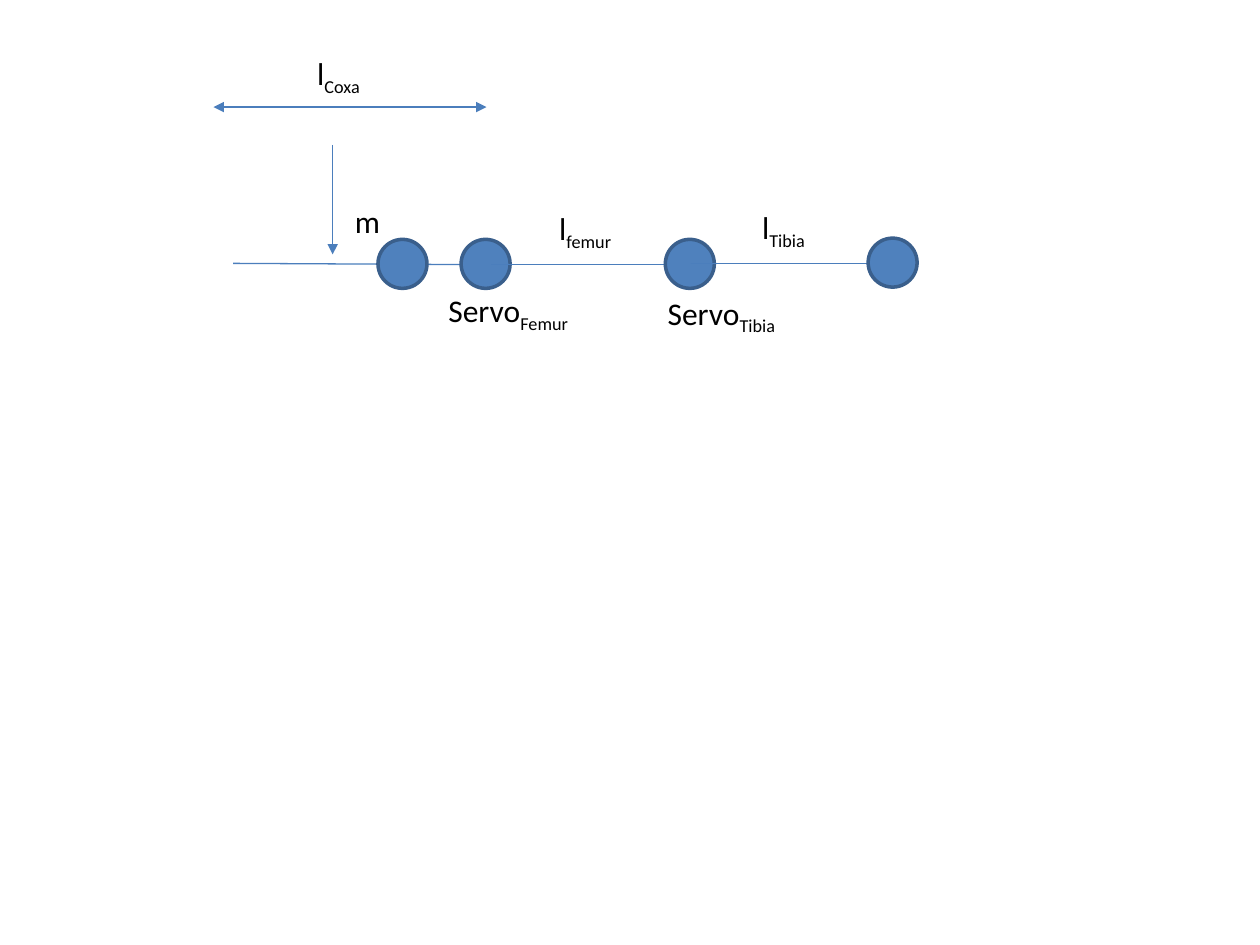
import pptx
import pptx.util
import pptx.dml.color
import pptx.enum.shapes
import pptx.enum.text
from lxml import etree

Pt = pptx.util.Pt
LINE = "4B7EBC"
JOINT_SIZE = 28
LABEL_HEIGHT = 29


def color(value):
    return pptx.dml.color.RGBColor.from_string(value)


def add_line(page, start, end, ends=()):
    line = page.shapes.add_connector(
        pptx.enum.shapes.MSO_CONNECTOR.STRAIGHT,
        *(Pt(value) for value in (*start, *end)))
    line.line.color.rgb = color(LINE)
    line.line.width = Pt(0.75)
    properties = line._element.spPr
    outline = line.line._get_or_add_ln()
    namespace = etree.QName(outline).namespace
    for end_name in ends:
        etree.SubElement(outline, f"{{{namespace}}}{end_name}", type="triangle")
    etree.SubElement(properties, f"{{{namespace}}}effectLst")


def add_joint(page, left, top):
    joint = page.shapes.add_shape(
        pptx.enum.shapes.MSO_SHAPE.OVAL,
        Pt(left), Pt(top), Pt(JOINT_SIZE), Pt(JOINT_SIZE))
    joint.shadow.inherit = False
    joint.fill.solid()
    joint.fill.fore_color.rgb = color("4F81BD")
    joint.line.color.rgb = color("3A5F8C")
    joint.line.width = Pt(2)


def add_label(page, left, top, width, name, subscript):
    label = page.shapes.add_textbox(Pt(left), Pt(top), Pt(width), Pt(LABEL_HEIGHT))
    frame = label.text_frame
    frame.word_wrap = False
    frame.auto_size = pptx.enum.text.MSO_AUTO_SIZE.SHAPE_TO_FIT_TEXT
    para = frame.paragraphs[0]
    para.font.name = "Calibri"
    para.font.size = Pt(18)
    para.font.color.rgb = color("000000")
    para.add_run().text = name
    if subscript:
        span = para.add_run()
        span.text = subscript
        span.font._element.set("baseline", "-25000")


def add_leg(page, left, top):
    segments = [
        (11.2, 123.5, 141.5, 124.2, 141.5, 109.8),
        (158.8, 124.2, 271.8, 124.2, 258.2, 109.8),
        (272.6, 123.5, 386.3, 123.5, 374.1, 109.1),
    ]
    for x1, y1, x2, y2, joint_x, joint_y in segments:
        add_line(page, (left + x1, top + y1), (left + x2, top + y2))
        add_joint(page, left + joint_x, top + joint_y)

    add_line(page, (left + 68.1, top + 55.8), (left + 68.1, top + 118.4),
             ["tailEnd"])

    labels = [
        (73.8, 84.6, 28.8, "m", ""),
        (190.5, 88.9, 48.2, "l", "femur"),
        (306.4, 88.2, 42.5, "l", "Tibia"),
        (127.1, 135.7, 87.8, "Servo", "Femur"),
        (252.4, 137.2, 79.9, "Servo", "Tibia"),
        (52.2, 0.4, 42.5, "l", "Coxa"),
    ]
    add_joint(page, left + 94, top + 109.8)
    for x, y, width, name, subscript in labels:
        add_label(page, left + x, top + y, width, name, subscript)

    add_line(page, (left, top + 34.2), (left + 156, top + 34.2),
             ["headEnd", "tailEnd"])


def main():
    deck = pptx.Presentation()
    deck.slide_width = Pt(720)
    deck.slide_height = Pt(540)
    page = deck.slides.add_slide(deck.slide_layouts[6])
    add_leg(page, 122, 27)
    deck.save("out.pptx")


if __name__ == "__main__":
    main()
